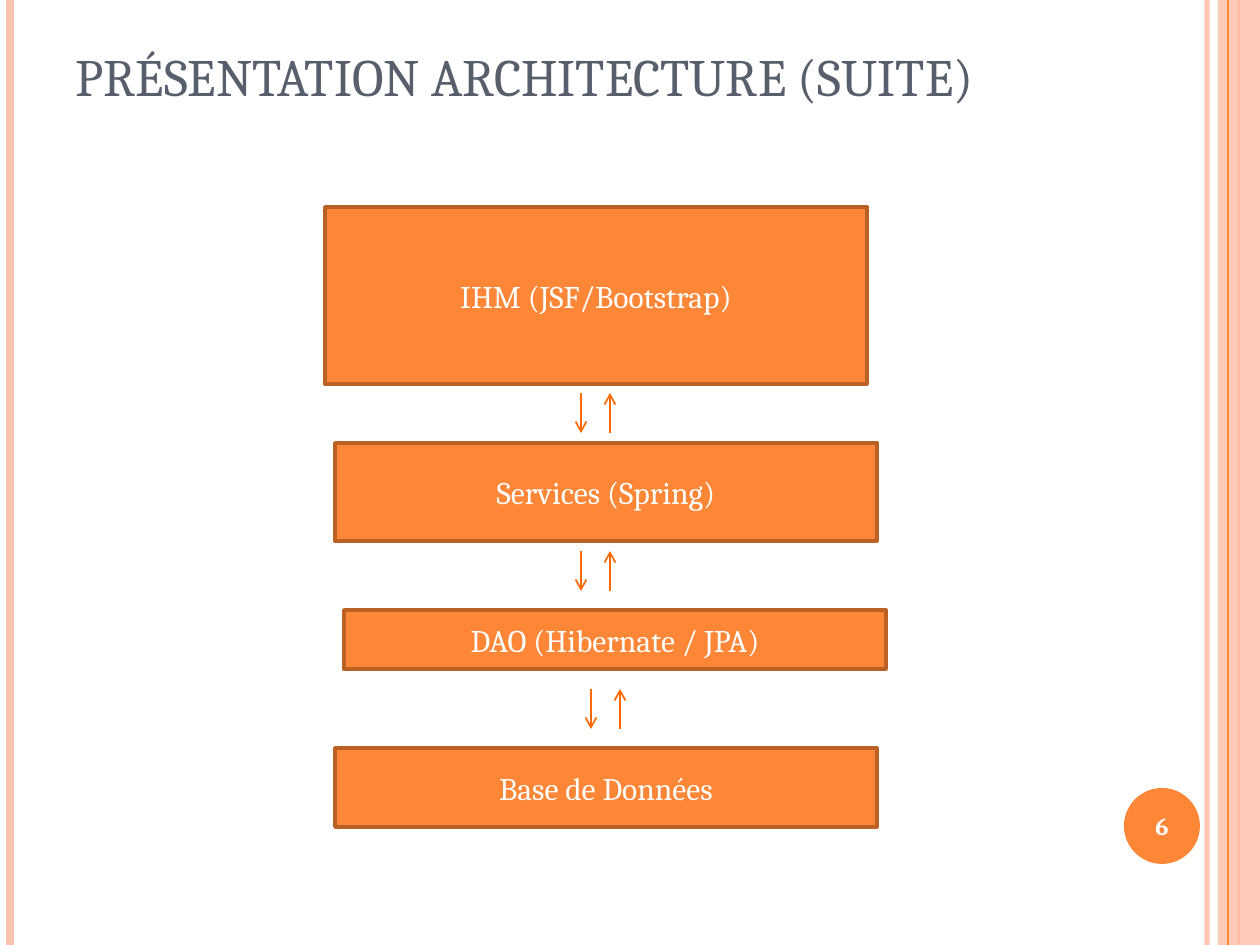
from dataclasses import dataclass

from lxml.etree import SubElement
from pptx import Presentation
from pptx.dml.color import RGBColor
from pptx.enum.shapes import MSO_CONNECTOR, MSO_SHAPE
from pptx.enum.text import MSO_ANCHOR, MSO_AUTO_SIZE, PP_ALIGN
from pptx.oxml.ns import qn
from pptx.util import Pt

PX_PER_INCH = 126
SLIDE_WIDTH, SLIDE_HEIGHT = 1260, 945


@dataclass(frozen=True)
class Theme:
    font: str = "Cambria"
    title: str = "575F6D"
    accent: str = "FE8637"
    border: str = "BB6126"
    arrow: str = "FF6903"
    pale: str = "FEC3AE"
    white: str = "FFFFFF"
    title_size: int = 30
    layer_size: int = 18
    number_size: int = 14


@dataclass(frozen=True)
class Box:
    left: int
    top: int
    width: int
    height: int


@dataclass(frozen=True)
class Layer:
    text: str
    left: int
    top: int
    height: int


@dataclass(frozen=True)
class Stripe:
    x: int
    color: str
    weight: float
    opacity: int = 100


@dataclass(frozen=True)
class ArrowPair:
    x: int
    top: int


THEME = Theme()
LAYER_WIDTH = 542
ARROW_GAP, ARROW_LENGTH = 29, 40

LAYERS = [
    Layer("IHM (JSF/Bootstrap)", 325, 207, 177),
    Layer("Services (Spring)", 335, 443, 98),
    Layer("DAO (Hibernate / JPA)", 344, 610, 59),
    Layer("Base de Données", 335, 748, 79),
]
ARROW_PAIRS = [ArrowPair(581, 393), ArrowPair(581, 551), ArrowPair(591, 689)]
OUTER_STRIPES = [
    Stripe(1207, THEME.pale, 3, 93),
    Stripe(10, THEME.pale, 4.5),
    Stripe(1239, THEME.accent, 1.5),
]
INNER_STRIPE = Stripe(1228, THEME.accent, 0.75)
BAND = Box(1218, 0, 42, SLIDE_HEIGHT)
NUMBER_BADGE = Box(1124, 788, 76, 76)
TITLE = Box(63, 38, 1029, 81)


def emu(px: int) -> int:
    return round(px * 914400 / PX_PER_INCH)


def rgb(color: str) -> RGBColor:
    return RGBColor.from_string(color)


def set_opacity(fill_parent, percent: int) -> None:
    color = fill_parent.find(qn("a:solidFill"))[0]
    SubElement(color, qn("a:alpha")).set("val", str(percent * 1000))


def write(shape, text: str, size: int, color: str, bold: bool = False,
          align=PP_ALIGN.CENTER, anchor=MSO_ANCHOR.MIDDLE) -> None:
    text_frame = shape.text_frame
    text_frame.text = text
    text_frame.word_wrap = True
    text_frame.auto_size = MSO_AUTO_SIZE.NONE
    text_frame.vertical_anchor = anchor
    paragraph = text_frame.paragraphs[0]
    paragraph.alignment = align
    font = paragraph.runs[0].font
    font.name, font.size, font.bold = THEME.font, Pt(size), bold
    font.color.rgb = rgb(color)


def add_filled(slide, kind, box: Box, color: str):
    shape = slide.shapes.add_shape(
        kind, emu(box.left), emu(box.top), emu(box.width), emu(box.height))
    shape.shadow.inherit = False
    shape.fill.solid()
    shape.fill.fore_color.rgb = rgb(color)
    shape.line.fill.background()
    return shape


def add_line(shapes, x: int, start: int, end: int, color: str, weight: float):
    connector = shapes.add_connector(
        MSO_CONNECTOR.STRAIGHT, emu(x), emu(start), emu(x), emu(end))
    connector.line.color.rgb = rgb(color)
    connector.line.width = Pt(weight)
    SubElement(connector._element.spPr, qn("a:effectLst"))
    return connector


def add_stripe(slide, stripe: Stripe) -> None:
    connector = add_line(
        slide.shapes, stripe.x, 0, SLIDE_HEIGHT, stripe.color, stripe.weight)
    if stripe.opacity < 100:
        set_opacity(connector.line._ln, stripe.opacity)


def add_layer(slide, layer: Layer) -> None:
    box = Box(layer.left, layer.top, LAYER_WIDTH, layer.height)
    shape = add_filled(slide, MSO_SHAPE.RECTANGLE, box, THEME.accent)
    shape.line.color.rgb = rgb(THEME.border)
    shape.line.width = Pt(2)
    write(shape, layer.text, THEME.layer_size, THEME.white)


def add_arrow_pair(slide, pair: ArrowPair) -> None:
    group = slide.shapes.add_group_shape()
    bottom = pair.top + ARROW_LENGTH
    for x, start, end in ((pair.x, pair.top, bottom),
                          (pair.x + ARROW_GAP, bottom, pair.top)):
        arrow = add_line(group.shapes, x, start, end, THEME.arrow, 1)
        SubElement(arrow.line._ln, qn("a:tailEnd")).set("type", "arrow")


def add_title(slide) -> None:
    title = slide.shapes.title
    title.left, title.top = emu(TITLE.left), emu(TITLE.top)
    title.width, title.height = emu(TITLE.width), emu(TITLE.height)
    write(title, "PRÉSENTATION ARCHITECTURE (SUITE)", THEME.title_size,
          THEME.title, align=PP_ALIGN.LEFT, anchor=MSO_ANCHOR.TOP)


def main() -> None:
    presentation = Presentation()
    presentation.slide_width = emu(SLIDE_WIDTH)
    presentation.slide_height = emu(SLIDE_HEIGHT)
    slide = presentation.slides.add_slide(presentation.slide_layouts[5])

    for stripe in OUTER_STRIPES:
        add_stripe(slide, stripe)
    band = add_filled(slide, MSO_SHAPE.RECTANGLE, BAND, THEME.pale)
    set_opacity(band._element.spPr, 87)
    add_stripe(slide, INNER_STRIPE)
    badge = add_filled(slide, MSO_SHAPE.OVAL, NUMBER_BADGE, THEME.accent)
    write(badge, "6", THEME.number_size, THEME.white, bold=True)

    add_title(slide)
    for layer in LAYERS:
        add_layer(slide, layer)
    for pair in ARROW_PAIRS:
        add_arrow_pair(slide, pair)

    presentation.save("out.pptx")


if __name__ == "__main__":
    main()
